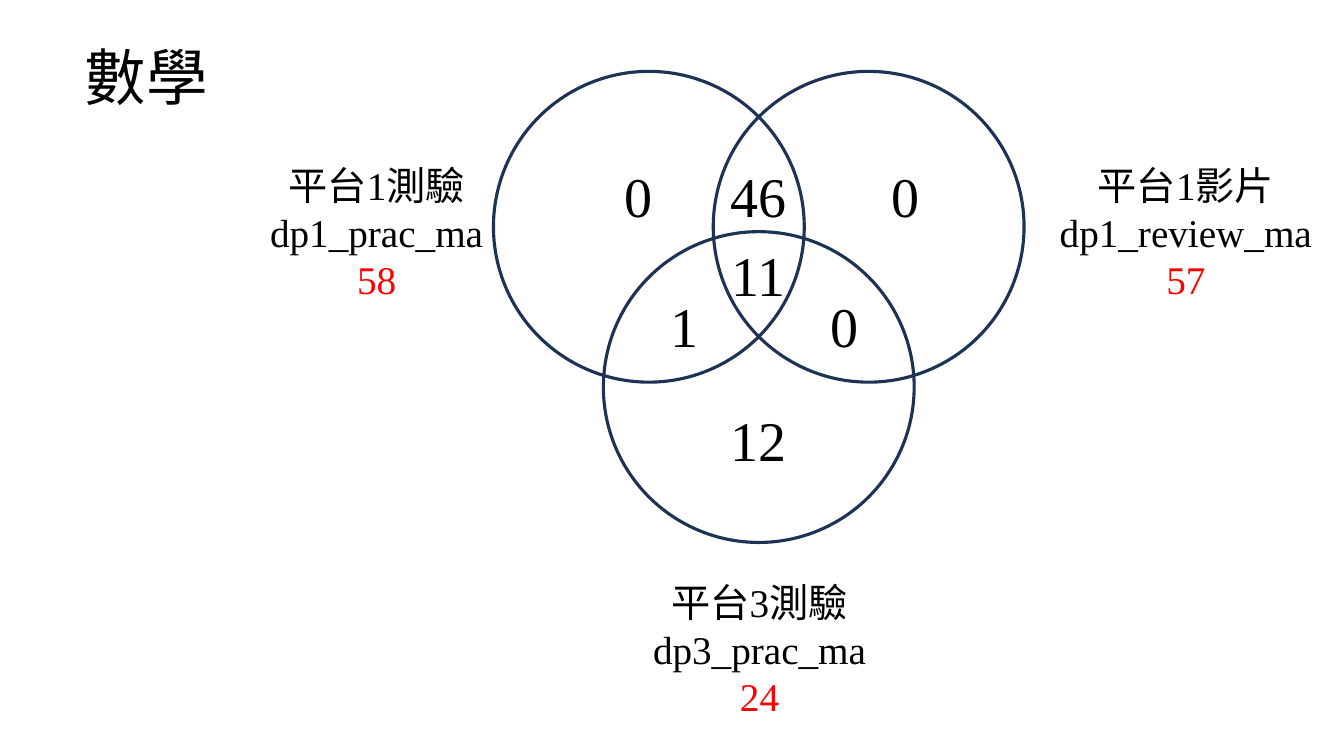
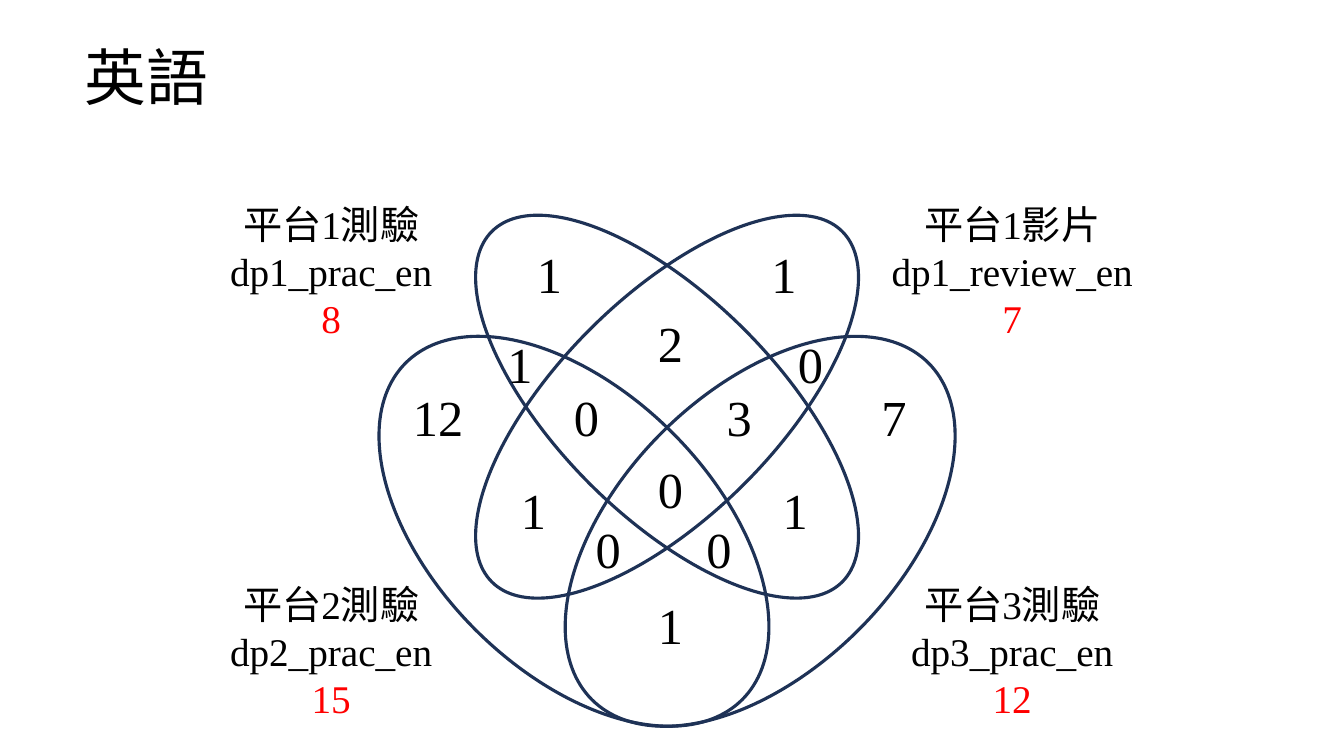
from lxml.etree import SubElement
from pptx import Presentation
from pptx.dml.color import RGBColor as Rgb
from pptx.enum.shapes import MSO_SHAPE as Form
from pptx.enum.text import MSO_AUTO_SIZE as Fit, PP_ALIGN as Align
from pptx.oxml.ns import qn
from pptx.util import Pt

BLACK, RED, NAVY = "000000", "FF0000", "1E3256"
SANS, SERIF = "Noto Sans CJK SC", "Times New Roman"
FRAME = {"word_wrap": True, "auto_size": Fit.SHAPE_TO_FIT_TEXT}

MATH = {
    "title": "數學",
    "rings": [
        (542, 276.5, 222, 222, 0),
        (463.5, 162, 222, 222, 0),
        (620.5, 162, 222, 222, 0),
    ],
    "size": 40,
    "counts": [
        ("0", 456, 111.5), ("46", 542, 111.5), ("0", 647, 111.5),
        ("11", 542, 168.5), ("1", 489, 204.5), ("0", 603, 204.5),
        ("12", 542, 286),
    ],
    "labels": [
        ("1", "測驗", "dp1_prac_ma", "58", 269, 111.5),
        ("1", "影片", "dp1_review_ma", "57", 847, 111.5),
        ("3", "測驗", "dp3_prac_ma", "24", 542.5, 409.5),
    ],
}
ENGLISH = {
    "title": "英語",
    "rings": [
        (476.5, 290.5, 354, 156, 315),
        (476.5, 290.5, 354, 156, 45),
        (410, 379.5, 340, 199, 45),
        (543, 379.5, 340, 199, 315),
    ],
    "size": 36,
    "counts": [
        ("1", 392.5, 170), ("1", 560, 170), ("2", 479, 219.5),
        ("1", 371.5, 234.5), ("0", 579, 234.5),
        ("12", 313, 272), ("0", 419, 272), ("3", 528, 272), ("7", 638.5, 272),
        ("0", 479, 324), ("1", 381, 338.5), ("1", 568, 338.5),
        ("0", 434.5, 366.5), ("0", 513.5, 366.5), ("1", 479, 420.5),
    ],
    "labels": [
        ("1", "測驗", "dp1_prac_en", "8", 236.5, 139.5),
        ("1", "影片", "dp1_review_en", "7", 723, 139.5),
        ("2", "測驗", "dp2_prac_en", "15", 236.5, 411),
        ("3", "測驗", "dp3_prac_en", "12", 723, 411),
    ],
}


def tint(target, hue):
    """Give a font or line its colour."""
    target.color.rgb = Rgb.from_string(hue)


def style(item, values):
    """Set each format value on the item."""
    for name, value in values.items():
        setattr(item, name, value)


def write(shapes, spot, lines, size, align=Align.CENTER):
    """Add a text box whose lines are lists of (text, font, colour)."""
    frame = shapes.add_textbox(*map(Pt, spot)).text_frame
    style(frame, FRAME)
    for num, line in enumerate(lines):
        para = frame.add_paragraph() if num else frame.paragraphs[0]
        para.alignment = align
        for text, face, hue in line:
            run = para.add_run()
            run.text = text
            style(run.font, {"size": Pt(size), "name": face})
            tint(run.font, hue)
            SubElement(run.font._element, qn("a:ea"), typeface=face)


def ring(shapes, mid_x, mid_y, wide, high, turn):
    """Add an open ellipse around its centre."""
    spot = mid_x - wide / 2, mid_y - high / 2, wide, high
    oval = shapes.add_shape(Form.OVAL, *map(Pt, spot))
    style(oval, {"rotation": turn})
    oval.shadow.inherit = False
    oval.fill.background()
    style(oval.line, {"width": Pt(2.25)})
    tint(oval.line, NAVY)


def count(shapes, text, mid, top, size):
    """Add the number of one region."""
    spot = mid - 50, top, 100, size * 1.2 + 7.2
    write(shapes, spot, [[(text, SERIF, BLACK)]], size)


def label(shapes, num, kind, code, total, mid, top):
    """Add the name, code and red total of one set."""
    name = [("平台", SANS, BLACK), (num, SERIF, BLACK), (kind, SANS, BLACK)]
    lines = [name, [(code, SERIF, BLACK)], [(total, SERIF, RED)]]
    write(shapes, (mid - 103, top, 206, 108.5), lines, 28)


def draw(deck, data):
    """Add one slide with its title, rings, counts and labels."""
    shapes = deck.slides.add_slide(deck.slide_layouts[6]).shapes
    title = [[(data["title"], SANS, BLACK)]]
    write(shapes, (53.5, 24, 174, 60.5), title, 44, Align.LEFT)
    group = shapes.add_group_shape().shapes
    for place in data["rings"]:
        ring(group, *place)
    for entry in data["counts"]:
        count(group, *entry, data["size"])
    for entry in data["labels"]:
        label(shapes, *entry)


def main():
    """Build and save the deck."""
    deck = Presentation()
    style(deck, {"slide_width": Pt(960), "slide_height": Pt(540)})
    for data in (MATH, ENGLISH):
        draw(deck, data)
    deck.save("out.pptx")


if __name__ == "__main__":
    main()
